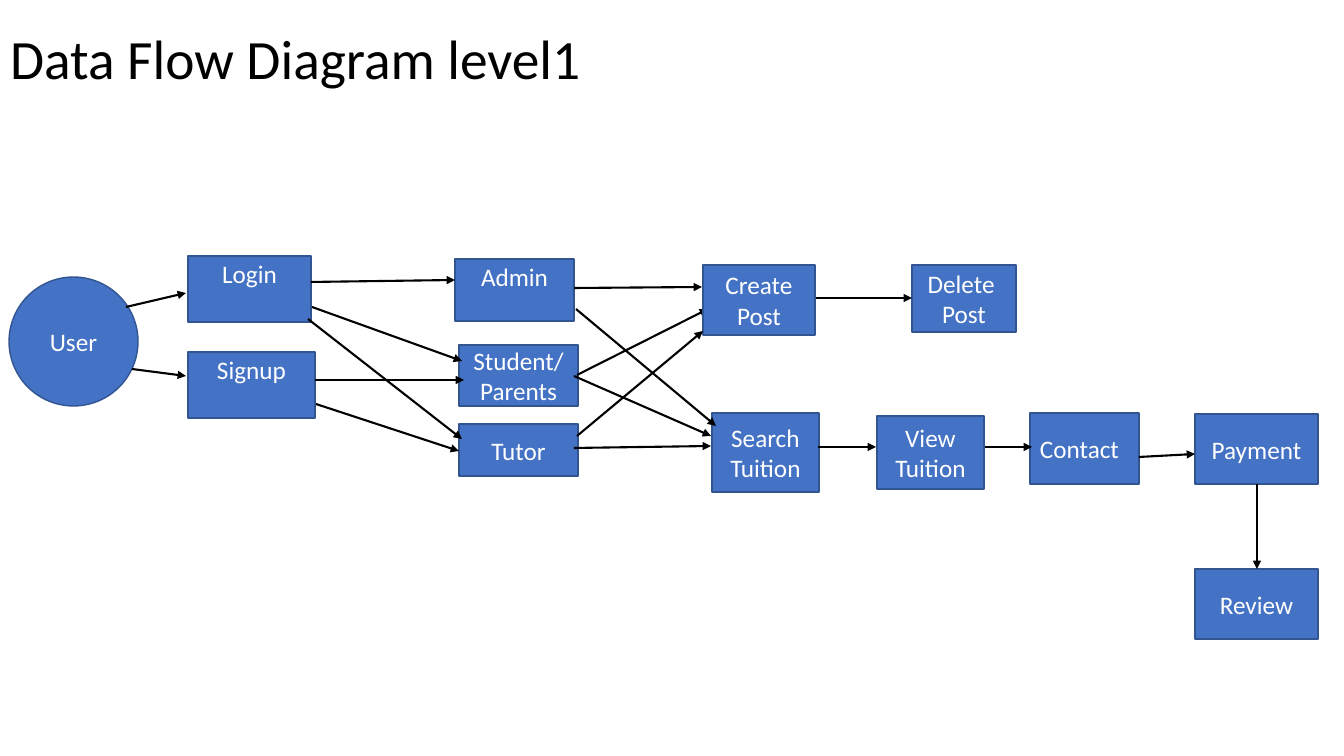
"""Build the level 1 data flow diagram slide."""
import pptx
import pptx.util
import pptx.dml.color
import pptx.enum.shapes
import pptx.enum.text
import pptx.oxml.ns
import lxml.etree

TITLE = "Data Flow Diagram level1"
COLOURS = {"node": "4472C4", "border": "325491", "label": "FFFFFF", "ink": "000000"}
FONT = "Calibri"
EXTERNAL = ("User",)
RAISED = ("Login", "Signup", "Admin")
LEFT_ALIGNED = ("Contact",)

STAGES = [
    {
        "nodes": [
            ("User", 9, 277, 129, 129),
            ("Login", 188, 256, 123, 66),
            ("Signup", 188, 352, 127, 66),
            ("Admin", 455, 259, 119, 62),
            ("Student/Parents", 459, 345, 119, 61),
            ("Tutor", 459, 424, 119, 52),
        ],
        "flows": [
            (126, 307, 186, 293),
            (132, 369, 186, 376),
            (311, 282, 455, 280),
            (312, 307, 462, 361),
            (308, 319, 462, 439),
            (315, 380, 464, 380),
            (316, 404, 459, 451),
            (577, 375, 708, 309),
        ],
    },
    {
        "nodes": [
            ("Create Post", 703, 265, 112, 70),
            ("Delete\u00a0Post", 912, 265, 104, 67),
            ("Search Tuition", 712, 413, 107, 79),
            ("View Tuition", 877, 416, 107, 73),
            ("Contact", 1030, 413, 109, 71),
            ("Payment", 1195, 414, 123, 70),
            ("Review", 1195, 569, 123, 70),
        ],
        "flows": [
            (574, 288, 702, 287),
            (576, 309, 716, 426),
            (574, 376, 711, 436),
            (577, 436, 703, 331),
            (574, 448, 711, 446),
            (816, 298, 912, 298),
            (818, 447, 876, 447),
            (985, 447, 1032, 447),
            (1139, 457, 1195, 454),
            (1257, 484, 1257, 569),
        ],
    },
]

SHAPES = pptx.enum.shapes.MSO_SHAPE
ANCHOR = pptx.enum.text.MSO_ANCHOR
ALIGN = pptx.enum.text.PP_ALIGN


def px(length):
    return round(length * 914400 / 100.8)


def colour(name):
    return pptx.dml.color.RGBColor.from_string(COLOURS[name])


def style_text(paragraph, size, colour_name, alignment):
    paragraph.alignment = alignment
    paragraph.font.name = FONT
    paragraph.font.size = pptx.util.Pt(size)
    paragraph.font.color.rgb = colour(colour_name)


def add_node(slide, label, *box):
    outline = SHAPES.OVAL if label in EXTERNAL else SHAPES.RECTANGLE
    node = slide.shapes.add_shape(outline, *map(px, box))
    node.shadow.inherit = False
    node.fill.solid()
    node.fill.fore_color.rgb = colour("node")
    node.line.color.rgb = colour("border")
    node.line.width = pptx.util.Pt(1)
    frame = node.text_frame
    frame.word_wrap = True
    frame.vertical_anchor = ANCHOR.MIDDLE
    if label in RAISED:
        frame.vertical_anchor = ANCHOR.TOP
        frame.margin_top = px(2)
    frame.text = label
    alignment = ALIGN.LEFT if label in LEFT_ALIGNED else ALIGN.CENTER
    style_text(frame.paragraphs[0], 18, "label", alignment)


def add_flow(slide, *ends):
    flow = slide.shapes.add_connector(
        pptx.enum.shapes.MSO_CONNECTOR.STRAIGHT, *map(px, ends))
    flow.line.color.rgb = colour("ink")
    flow.line.width = pptx.util.Pt(1.5)
    qn = pptx.oxml.ns.qn
    lxml.etree.SubElement(flow.line._get_or_add_ln(), qn("a:tailEnd"), type="triangle")
    lxml.etree.SubElement(flow._element.spPr, qn("a:effectLst"))


def add_title(slide):
    title = slide.shapes.title
    title.left, title.top, title.width, title.height = map(px, (0, 1, 678, 62))
    frame = title.text_frame
    frame.text = TITLE
    frame.word_wrap = True
    frame.auto_size = pptx.enum.text.MSO_AUTO_SIZE.NONE
    frame.vertical_anchor = ANCHOR.TOP
    frame.margin_top = px(31)
    frame.margin_bottom = 0
    heading = frame.paragraphs[0]
    heading.line_spacing = 0.9
    style_text(heading, 39.6, "ink", ALIGN.LEFT)


deck = pptx.Presentation()
deck.slide_width, deck.slide_height = px(1344), px(756)
diagram = deck.slides.add_slide(deck.slide_layouts[5])
add_title(diagram)
for stage in STAGES:
    for node_spec in stage["nodes"]:
        add_node(diagram, *node_spec)
    for flow_ends in stage["flows"]:
        add_flow(diagram, *flow_ends)
deck.save("out.pptx")
